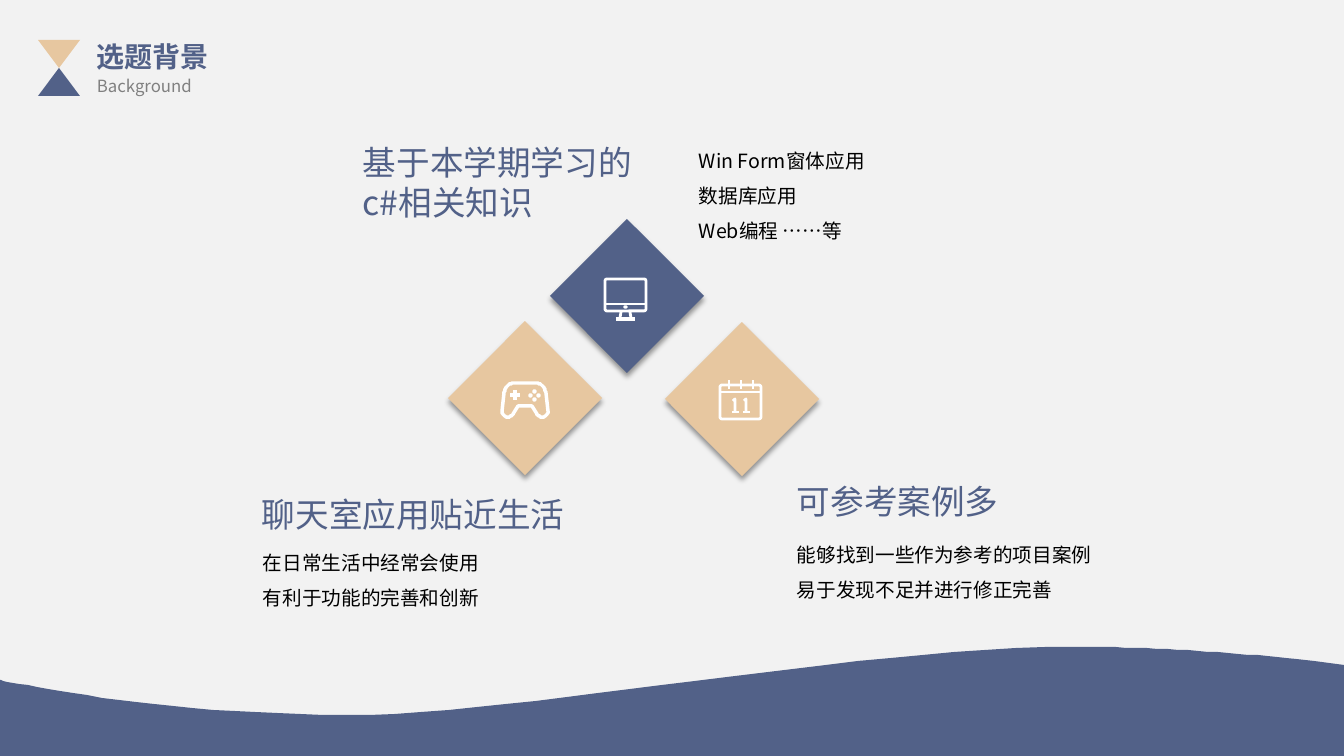
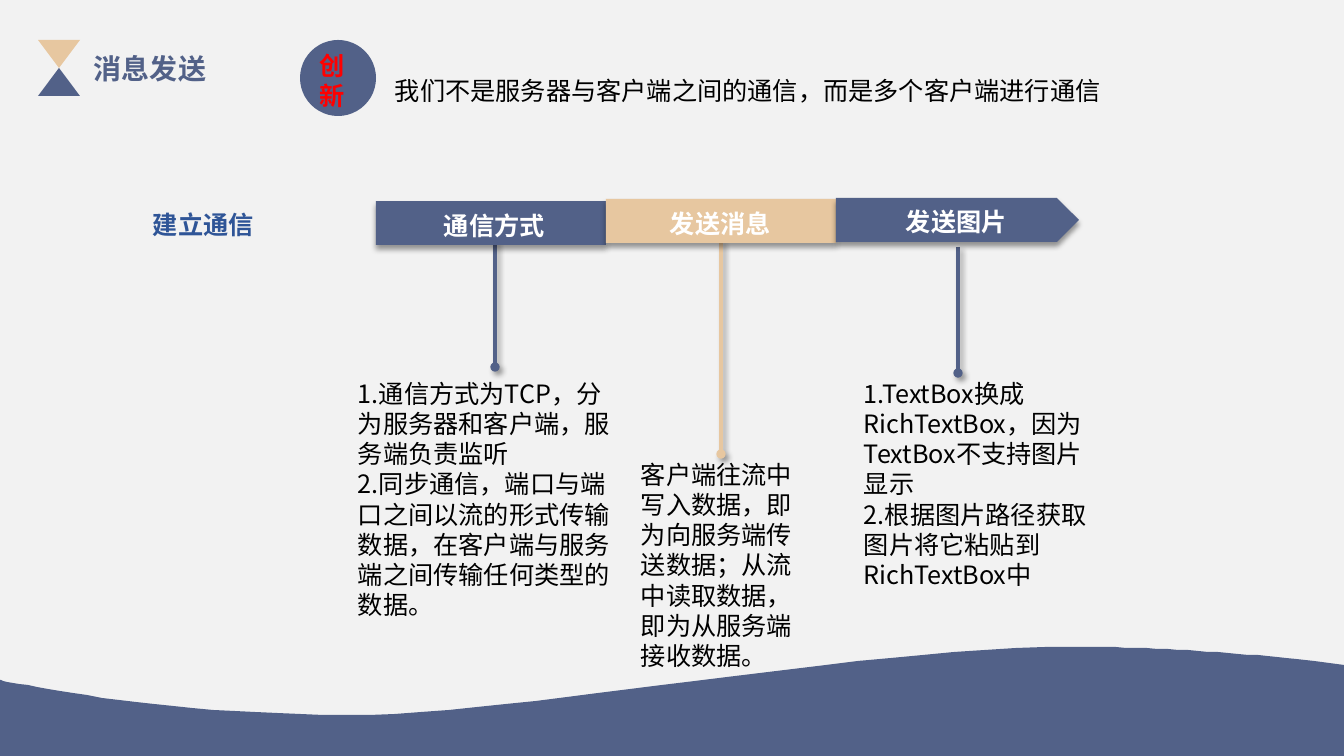
from lxml import etree
from pptx import Presentation
from pptx.dml.color import RGBColor
from pptx.enum.shapes import MSO_CONNECTOR, MSO_SHAPE
from pptx.enum.text import MSO_AUTO_SIZE, PP_ALIGN
from pptx.oxml.ns import qn
from pptx.util import Emu, Pt

SCALE = 914400 / 100.8
WIDTH, HEIGHT = 1344, 756
NAVY = RGBColor(0x52, 0x61, 0x88)
SAND = RGBColor(0xE7, 0xC7, 0xA0)
PALE = RGBColor(0xF2, 0xF2, 0xF2)
GRAY = RGBColor(0x80, 0x80, 0x80)
BLUE = RGBColor(0x2F, 0x55, 0x97)
RED = RGBColor(0xFF, 0, 0)
BLACK = RGBColor(0, 0, 0)
WHITE = RGBColor(0xFF, 0xFF, 0xFF)
SANS_SC = "Noto Sans CJK SC"
SANS_JP = "Noto Sans CJK JP"

STRAIGHT = MSO_CONNECTOR.STRAIGHT
TRIANGLE = MSO_SHAPE.ISOSCELES_TRIANGLE
DIAMOND = MSO_SHAPE.DIAMOND
ELLIPSE = MSO_SHAPE.OVAL
RECTANGLE = MSO_SHAPE.RECTANGLE
ROUNDED = MSO_SHAPE.ROUNDED_RECTANGLE
PENTAGON = MSO_SHAPE.PENTAGON
JUSTIFY = PP_ALIGN.JUSTIFY
FIT_SHAPE = MSO_AUTO_SIZE.SHAPE_TO_FIT_TEXT

TITLE = {"size": Pt(20), "name": SANS_SC, "color": NAVY, "bold": True}
SUBTITLE = {"size": Pt(12), "name": SANS_SC, "color": GRAY}
HEADING = {"size": Pt(24), "name": SANS_SC, "color": NAVY}
DETAIL = {"size": Pt(14), "name": SANS_SC, "color": BLACK}
BODY = {"size": Pt(18), "name": SANS_SC, "color": BLACK}
LABEL = {"size": Pt(18), "name": SANS_JP, "color": WHITE, "bold": True}

WAVE = [(1074, 647), (847, 647, 532, 715, 346, 715), (158, 715, 0, 680, 0, 680),
        (0, HEIGHT), (WIDTH, HEIGHT), (WIDTH, 665), (1314, 661),
        (1241, 653, 1158, 647, 1074, 647)]
GAMEPAD = [(546, 393), (545, 389, 544, 387, 542, 385), (540, 384, 538, 383, 535, 383),
           (515, 383), (512, 383, 510, 384, 508, 385), (506, 387, 505, 389, 504, 393),
           (502, 411), (502, 415, 505, 417, 508, 417), (510, 417, 512, 416, 513, 414),
           (518, 406), (532, 406), (537, 414), (538, 416, 540, 417, 542, 417),
           (545, 417, 548, 415, 548, 411), (546, 393)]


def px(value):
    return Emu(round(value * SCALE))


def trace(segments, steps=24):
    points = [segments[0]]
    for segment in segments[1:]:
        if len(segment) == 2:
            points.append(segment)
            continue
        controls = [points[-1], segment[:2], segment[2:4], segment[4:]]
        for step in range(1, steps + 1):
            t = step / steps
            weights = ((1 - t) ** 3, 3 * t * (1 - t) ** 2, 3 * t * t * (1 - t), t ** 3)
            points.append(tuple(sum(w * c[axis] for w, c in zip(weights, controls))
                                for axis in (0, 1)))
    return points


class Painter:
    def __init__(self):
        self.deck = Presentation()
        self.deck.slide_width, self.deck.slide_height = px(WIDTH), px(HEIGHT)
        self.page = None

    def start(self, title, left, top):
        self.page = self.deck.slides.add_slide(self.deck.slide_layouts[6])
        background = self.page.background.fill
        background.solid()
        background.fore_color.rgb = PALE
        self.outline(WAVE, fill=NAVY)
        self.shape(TRIANGLE, 38, 68, 42, 28, NAVY)
        self.shape(TRIANGLE, 38, 40, 42, 28, SAND).rotation = 180
        self.text([title], left, top, 192, 44, TITLE, align=JUSTIFY)

    def effects(self, item, angle):
        effects = etree.SubElement(item._element.spPr, qn("a:effectLst"))
        if angle is None:
            return
        shadow = etree.SubElement(effects, qn("a:outerShdw"), blurRad=str(Pt(4)),
                                  dist=str(Pt(3)), dir=str(angle * 60000),
                                  algn="t", rotWithShape="0")
        color = etree.SubElement(shadow, qn("a:srgbClr"), val=str(BLACK))
        etree.SubElement(color, qn("a:alpha"), val="40000")

    def paint(self, item, fill, line, weight, angle):
        if fill is None:
            item.fill.background()
        else:
            item.fill.solid()
            item.fill.fore_color.rgb = fill
        if line is None:
            item.line.fill.background()
        else:
            item.line.color.rgb = line
            item.line.width = Pt(weight)
        self.effects(item, angle)
        return item

    def shape(self, kind, left, top, width, height, fill=None, line=None, weight=1,
              angle=None):
        item = self.page.shapes.add_shape(kind, px(left), px(top), px(width), px(height))
        return self.paint(item, fill, line, weight, angle)

    def outline(self, segments, fill=None, line=None, weight=1, close=True):
        points = trace(segments)
        builder = self.page.shapes.build_freeform(*points[0], scale=SCALE)
        builder.add_line_segments(points[1:], close=close)
        return self.paint(builder.convert_to_shape(), fill, line, weight, None)

    def line(self, x1, y1, x2, y2, color=WHITE, weight=2.25, angle=None, tail=None):
        item = self.page.shapes.add_connector(STRAIGHT, px(x1), px(y1), px(x2), px(y2))
        item.line.color.rgb = color
        item.line.width = Pt(weight)
        if tail:
            etree.SubElement(item.line._get_or_add_ln(), qn("a:tailEnd"), type=tail)
        self.effects(item, angle)

    def text(self, lines, left, top, width, height, style, wrap=True, **layout):
        box = self.page.shapes.add_textbox(px(left), px(top), px(width), px(height))
        frame = box.text_frame
        frame.word_wrap = wrap
        frame.auto_size = FIT_SHAPE
        for index, words in enumerate(lines):
            para = frame.paragraphs[0] if index == 0 else frame.add_paragraph()
            layout_names = {"align": "alignment", "spacing": "line_spacing"}
            for key, value in layout.items():
                setattr(para, layout_names[key], value)
            span = para.add_run()
            span.text = words
            for key, value in style.items():
                if key == "color":
                    span.font.color.rgb = value
                else:
                    setattr(span.font, key, value)
            etree.SubElement(span.font._element, qn("a:ea"), typeface=style["name"])

    def monitor(self):
        screen = self.shape(ROUNDED, 605, 279, 41, 32, line=WHITE, weight=2)
        screen.adjustments[0] = 0.06
        self.line(605, 304, 646, 304, weight=1.75)
        self.shape(ELLIPSE, 624, 306, 3, 2, WHITE, WHITE)
        for top, foot in ((621, 620), (630, 631)):
            self.line(top, 312, foot, 318, weight=2)
        self.line(616, 319, 635, 319, weight=2.25)

    def calendar(self):
        sheet = self.shape(ROUNDED, 720, 385, 41, 34, line=WHITE, weight=2)
        sheet.adjustments[0] = 0.06
        self.line(720, 392, 761, 392, weight=1.75)
        for x in (729, 741, 753):
            self.line(x, 380, x, 389, weight=2)
        for x in (735, 746):
            self.outline([(x - 2, 401), (x, 399), (x, 412)], line=WHITE, weight=2,
                         close=False)
            self.line(x - 3, 412, x + 4, 412, weight=2)

    def gamepad(self):
        self.outline(GAMEPAD, line=WHITE, weight=2.5)
        self.line(510, 395, 520, 395, weight=2.25)
        self.line(515, 390, 515, 400, weight=2.25)
        for dx, dy in ((0, -4), (0, 4), (4, 0), (-4, 0)):
            self.shape(ELLIPSE, 533 + dx, 394 + dy, 3, 3, WHITE, WHITE)


def background_page(painter):
    painter.start("选题背景", 87, 35)
    painter.text(["Background"], 87, 71, 266, 30, SUBTITLE)
    for left, top, color, icon in ((550, 219, NAVY, painter.monitor),
                                   (665, 322, SAND, painter.calendar),
                                   (448, 321, SAND, painter.gamepad)):
        painter.shape(DIAMOND, left, top, 154, 154, color, angle=90)
        icon()
    painter.text(["聊天室应用贴近生活"], 252, 489, 350, 50, HEADING, align=JUSTIFY)
    painter.text(["基于本学期学习的", "c#相关知识"], 353, 137, 294, 92, HEADING)
    painter.text(["可参考案例多"], 787, 476, 299, 50, HEADING)
    for lines, left, top, width, height in (
            (["在日常生活中经常会使用", "有利于功能的完善和创新"], 253, 534, 377, 78),
            (["Win Form窗体应用", "数据库应用", "Web编程 ……等"], 689, 132, 234, 113),
            (["能够找到一些作为参考的项目案例", "易于发现不足并进行修正完善"],
             787, 526, 333, 78)):
        painter.text(lines, left, top, width, height, DETAIL, spacing=1.5)


def message_page(painter):
    painter.start("消息发送", 84, 47)
    painter.shape(ELLIPSE, 300, 40, 76, 76, NAVY)
    painter.text(["创新"], 310, 45, 52, 72, {**LABEL, "color": RED})
    painter.text(["我们不是服务器与客户端之间的通信，而是多个客户端进行通信"],
                 385, 70, 735, 40, BODY, align=JUSTIFY)
    painter.text(["建立通信"], 143, 204, 122, 40, {**LABEL, "color": BLUE}, wrap=False)
    for x, top, bottom, color in ((495, 241, 367, NAVY), (721, 241, 454, SAND),
                                  (958, 247, 373, NAVY)):
        painter.line(x, top, x, bottom, color, angle=45, tail="oval")
    steps = (("通信方式", RECTANGLE, 201, 230, NAVY, 434, 205),
             ("发送消息", RECTANGLE, 199, 230, SAND, 660, 203),
             ("发送图片", PENTAGON, 198, 243, NAVY, 896, 201))
    for index, (words, kind, top, width, color, left, label_top) in enumerate(steps):
        painter.shape(kind, 376 + 230 * index, top, width, 44, color, angle=90)
        painter.text([words], left, label_top, 122, 40, LABEL, wrap=index == 0)
    painter.text(["1.通信方式为TCP，分为服务器和客户端，服务端负责监听",
                  "2.同步通信，端口与端口之间以流的形式传输数据，在客户端与服务端之间传输任何类型的数据。"],
                 348, 373, 283, 254, BODY)
    painter.text(["1.TextBox换成RichTextBox，因为TextBox不支持图片显示",
                  "2.根据图片路径获取图片将它粘贴到RichTextBox中"],
                 854, 373, 253, 224, BODY)
    painter.text(["客户端往流中写入数据，即为向服务端传送数据；从流中读取数据，即为从服务端接收数据。"],
                 631, 454, 179, 224, BODY)


painter = Painter()
background_page(painter)
message_page(painter)
painter.deck.save("out.pptx")
